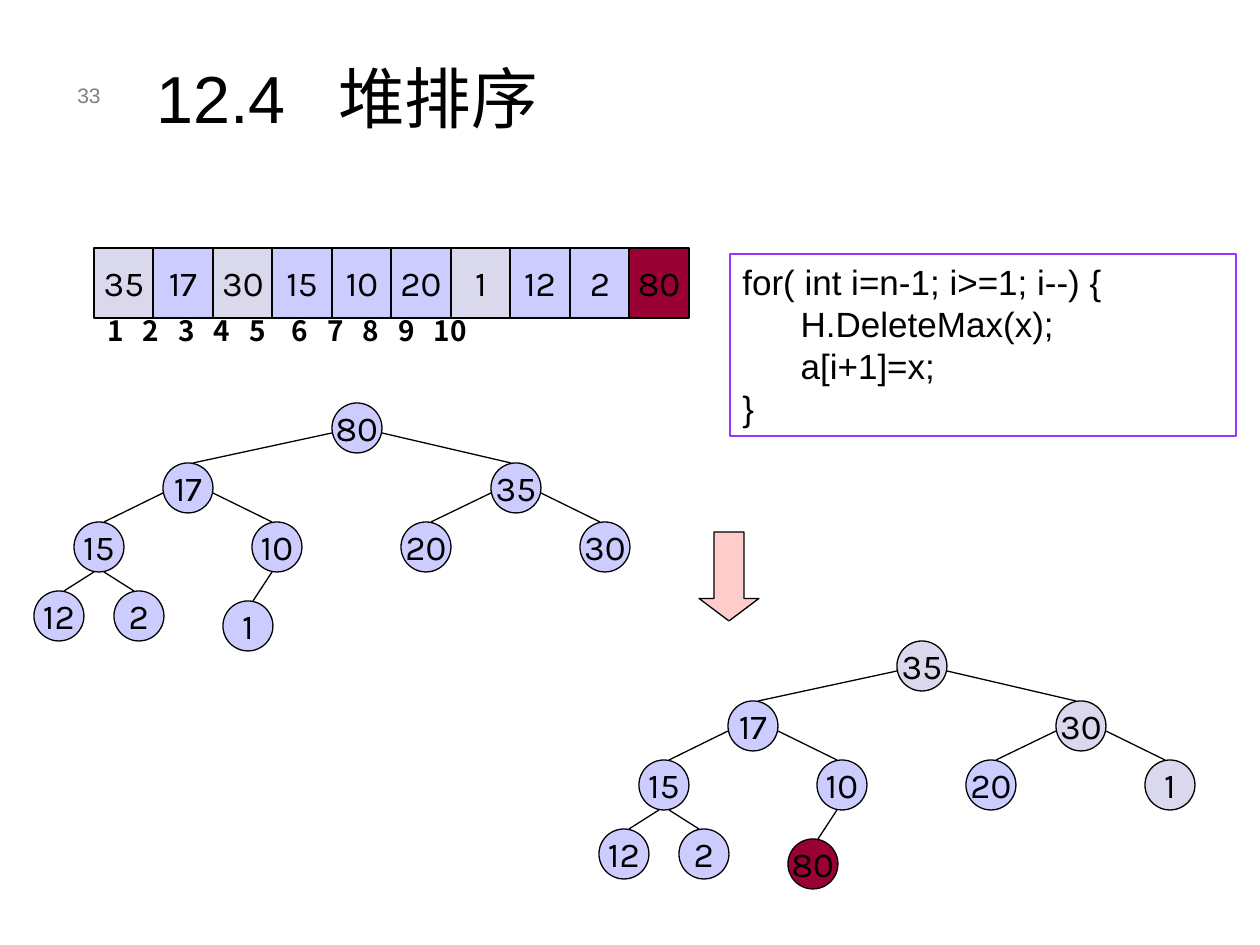
from dataclasses import dataclass
from typing import NamedTuple

from lxml import etree
from pptx import Presentation
from pptx import util as u
from pptx.dml import color
from pptx.enum import shapes, text
from pptx.oxml import ns

PX = 914400 / 126


@dataclass(frozen=True)
class Theme:
    ink: str = "000000"
    dim: str = "808080"
    base: str = "CCCCFF"
    moved: str = "D9D8EC"
    done: str = "990033"
    arrow: str = "FFCCCC"
    frame: str = "9933FF"
    sans: str = "Arial"
    digit: str = "Karla"
    label: str = "Noto Sans CJK SC"
    title: int = 38
    body: int = 20
    small: int = 16
    tiny: int = 12
    pitch: int = 24
    rule: float = 0.75


T = Theme()


class Box(NamedTuple):
    x: int
    y: int
    w: int
    h: int


class Item(NamedTuple):
    value: int
    fill: str = T.base


class Spot(NamedTuple):
    x: int
    y: int
    up: int | None = None


class Style(NamedTuple):
    size: int
    face: str = T.sans
    tint: str = T.ink
    bold: bool = False
    align: text.PP_ALIGN = text.PP_ALIGN.LEFT
    anchor: text.MSO_ANCHOR = text.MSO_ANCHOR.TOP
    wrap: bool = True
    tabs: tuple[int, ...] = ()
    lead: int | None = None


NUM = Style(T.body, T.digit, align=text.PP_ALIGN.CENTER,
            anchor=text.MSO_ANCHOR.MIDDLE, wrap=False)
SIZE = 50
RAD = SIZE // 2
SPOTS = [
    Spot(0, 0),
    Spot(-169, 60, 0), Spot(159, 60, 0),
    Spot(-258, 119, 1), Spot(-80, 119, 1), Spot(69, 119, 2), Spot(248, 119, 2),
    Spot(-298, 188, 3), Spot(-218, 188, 3), Spot(-109, 198, 4),
]
HEAP = [Item(n) for n in (80, 17, 35, 15, 10, 20, 30, 12, 2, 1)]
NEXT = [
    Item(35, T.moved), Item(17), Item(30, T.moved), Item(15), Item(10),
    Item(20), Item(1, T.moved), Item(12), Item(2), Item(80, T.done),
]
CODE = """for( int i=n-1; i>=1; i--) {
      H.DeleteMax(x);
      a[i+1]=x;
}"""


def px(n: float) -> int:
    return round(n * PX)


def rgb(code: str) -> color.RGBColor:
    return color.RGBColor.from_string(code)


def write(shape, words: str, style: Style) -> None:
    frame = shape.text_frame
    frame.word_wrap = style.wrap
    frame.vertical_anchor = style.anchor
    frame.text = words
    for para in frame.paragraphs:
        para.alignment = style.align
        if style.lead:
            para.line_spacing = u.Pt(style.lead)
        if style.tabs:
            stops = etree.SubElement(para._p.get_or_add_pPr(), ns.qn("a:tabLst"))
            for stop in style.tabs:
                etree.SubElement(stops, ns.qn("a:tab"), pos=str(px(stop)), algn="l")
        para.font.size = u.Pt(style.size)
        para.font.name = style.face
        para.font.bold = style.bold
        para.font.color.rgb = rgb(style.tint)


def note(slide, box: Box, words: str, style: Style):
    shape = slide.shapes.add_textbox(*map(px, box))
    write(shape, words, style)
    return shape


def draw(slide, kind: shapes.MSO_SHAPE, box: Box, fill: str | None, line: str = T.ink):
    shape = slide.shapes.add_shape(kind, *map(px, box))
    shape.shadow.inherit = False
    if fill:
        shape.fill.solid()
        shape.fill.fore_color.rgb = rgb(fill)
    else:
        shape.fill.background()
    shape.line.color.rgb = rgb(line)
    shape.line.width = u.Pt(T.rule)
    return shape


def edge(slide, x1: int, y1: int, x2: int, y2: int) -> None:
    line = slide.shapes.add_connector(
        shapes.MSO_CONNECTOR.STRAIGHT, px(x1), px(y1), px(x2), px(y2))
    line.line.color.rgb = rgb(T.ink)
    line.line.width = u.Pt(T.rule)
    etree.SubElement(line._element.spPr, ns.qn("a:effectLst"))


def tree(slide, x: int, y: int, items: list[Item]) -> None:
    for spot in SPOTS:
        if spot.up is None:
            continue
        top = SPOTS[spot.up]
        side = 1 if spot.x > top.x else -1
        leaf = spot.up > 2
        dx, dy = (5, RAD) if leaf else (RAD, 5)
        edge(slide, x + top.x + side * dx, y + top.y + dy,
             x + spot.x - side * 5, y + spot.y - RAD)
    for spot, item in zip(SPOTS, items):
        box = Box(x + spot.x - RAD, y + spot.y - RAD, SIZE, SIZE)
        write(draw(slide, shapes.MSO_SHAPE.OVAL, box, item.fill), str(item.value), NUM)


def array(slide, x: int, y: int, items: list[Item]) -> None:
    for i, item in enumerate(items):
        box = Box(x + 595 * i // 10, y, 60, 70)
        cell = draw(slide, shapes.MSO_SHAPE.RECTANGLE, box, item.fill)
        write(cell, str(item.value), NUM)
    tabs = tuple(142 * i // 4 + (7 if i > 4 else 0) for i in range(1, len(items)))
    marks = "\t".join(str(i + 1) for i in range(len(items)))
    row = note(slide, Box(84, 307, 615, 47), marks,
               Style(T.small, T.label, bold=True, tabs=tabs))
    row.text_frame.margin_left = px(24)


def main() -> None:
    deck = Presentation()
    deck.slide_width, deck.slide_height = px(1260), px(945)
    slide = deck.slides.add_slide(deck.slide_layouts[6])
    low = text.MSO_ANCHOR.BOTTOM
    note(slide, Box(44, 55, 69, 59), "33",
         Style(T.tiny, tint=T.dim, align=text.PP_ALIGN.RIGHT, anchor=low))
    note(slide, Box(144, 26, 1082, 117), "12.4\t堆排序",
         Style(T.title, anchor=low, tabs=(182,)))
    array(slide, 94, 248, NEXT)
    code = draw(slide, shapes.MSO_SHAPE.RECTANGLE, Box(730, 254, 506, 182), None, T.frame)
    write(code, CODE, Style(T.body, lead=T.pitch))
    tree(slide, 357, 428, HEAP)
    tree(slide, 922, 666, NEXT)
    arrow = draw(slide, shapes.MSO_SHAPE.DOWN_ARROW, Box(699, 532, 60, 89), T.arrow)
    arrow.adjustments[0], arrow.adjustments[1] = 0.5, 0.375
    deck.save("out.pptx")


if __name__ == "__main__":
    main()
